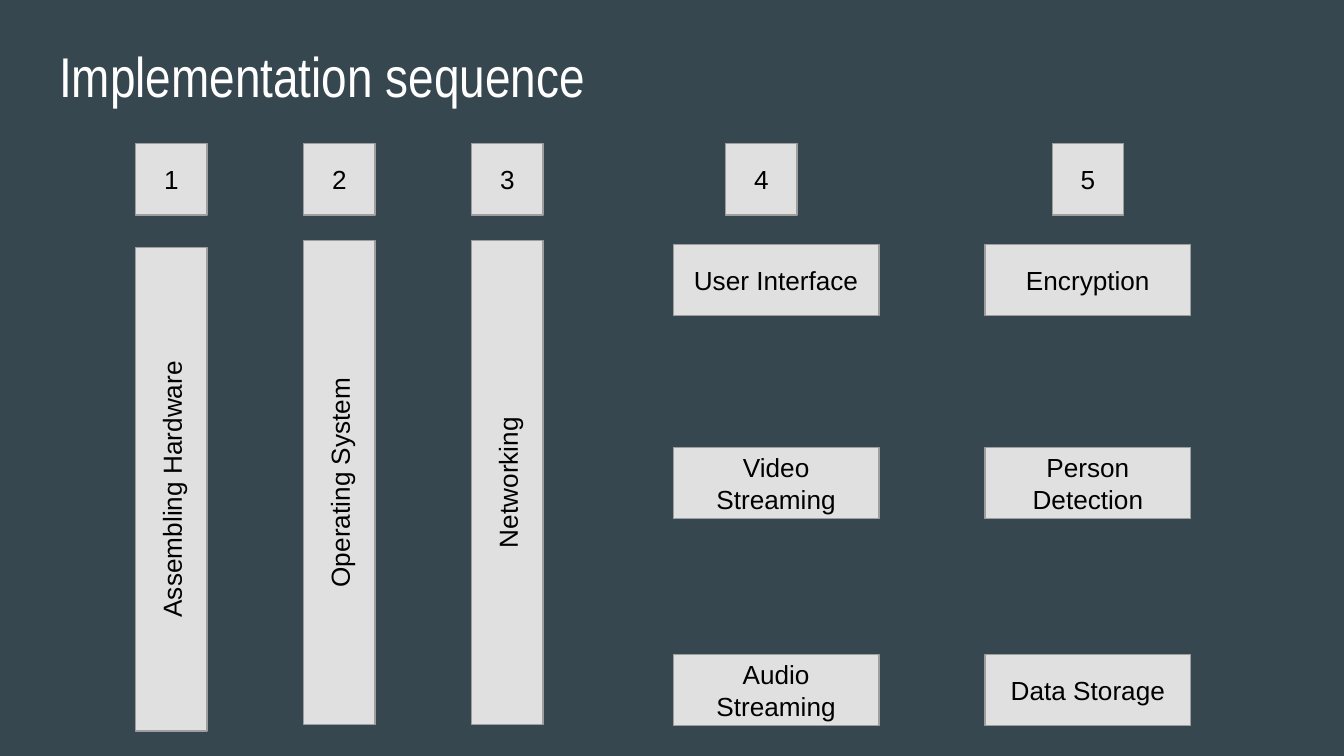
from pptx import Presentation
from pptx import util as u
from pptx.dml.color import RGBColor
from pptx.enum import shapes, text

SIDE = 0.53
WIDE = 1.53
LONG = 3.6
FRAME = dict(
    word_wrap=True,
    auto_size=text.MSO_AUTO_SIZE.NONE,
    **{f"margin_{edge}": u.Inches(0.1) for edge in ("left", "right", "top", "bottom")},
)


def paint(part, tone):
    part.rgb = RGBColor.from_string(tone)


def apply(part, form):
    for name, value in form.items():
        setattr(part, name, value)


def write(shape, words, face, size, tone, align, anchor):
    frame = shape.text_frame
    frame.text = words
    apply(frame, {**FRAME, "vertical_anchor": anchor})
    para = frame.paragraphs[0]
    para.alignment = align
    font = para.runs[0].font
    apply(font, dict(name=face, size=u.Pt(size)))
    paint(font.color, tone)


def head(slide, box, words):
    title = slide.shapes.title
    apply(title, dict(zip(("left", "top", "width", "height"), map(u.Inches, box))))
    write(title, words, "Arial Narrow", 30, "FFFFFF",
          text.PP_ALIGN.LEFT, text.MSO_ANCHOR.TOP)


def block(slide, box, words, turn=0):
    shape = slide.shapes.add_shape(shapes.MSO_SHAPE.RECTANGLE, *map(u.Inches, box))
    shape.rotation = turn
    shape.shadow.inherit = False
    shape.fill.solid()
    paint(shape.fill.fore_color, "E0E0E0")
    paint(shape.line.color, "9E9E9E")
    shape.line.width = u.Pt(0.75)
    write(shape, words, "Arial", 14, "000000",
          text.PP_ALIGN.CENTER, text.MSO_ANCHOR.MIDDLE)


def tower(slide, box, mark, words, drop):
    left, top = box
    block(slide, (left, top, SIDE, SIDE), mark)
    shift = (LONG - SIDE) / 2
    block(slide, (left - shift, top + drop + shift, LONG, SIDE), words, 270)


def stack(slide, box, mark, inset, items):
    left, top = box
    block(slide, (left + inset, top, SIDE, SIDE), mark)
    for drop, words in zip((0.75, 2.26, 3.8), items):
        block(slide, (left, top + drop, WIDE, SIDE), words)


def main():
    deck = Presentation()
    wide = u.Inches(10)
    apply(deck, dict(slide_width=wide, slide_height=wide * 9 // 16))
    slide = deck.slides.add_slide(deck.slide_layouts[5])
    slide.background.fill.solid()
    paint(slide.background.fill.fore_color, "37474F")

    head(slide, (0.34, 0.21, 9.32, 0.63), "Implementation sequence")
    top = 1.07
    steps = (("Assembling Hardware", 0.77), ("Operating System", 0.72), ("Networking", 0.72))
    for i, (words, drop) in enumerate(steps):
        tower(slide, (1.01 + 1.25 * i, top), str(i + 1), words, drop)
    stack(slide, (5.01, top), "4", 0.39,
          ("User Interface", "Video Streaming", "Audio Streaming"))
    stack(slide, (7.33, top), "5", 0.5,
          ("Encryption", "Person Detection", "Data Storage"))
    deck.save("out.pptx")


if __name__ == "__main__":
    main()
